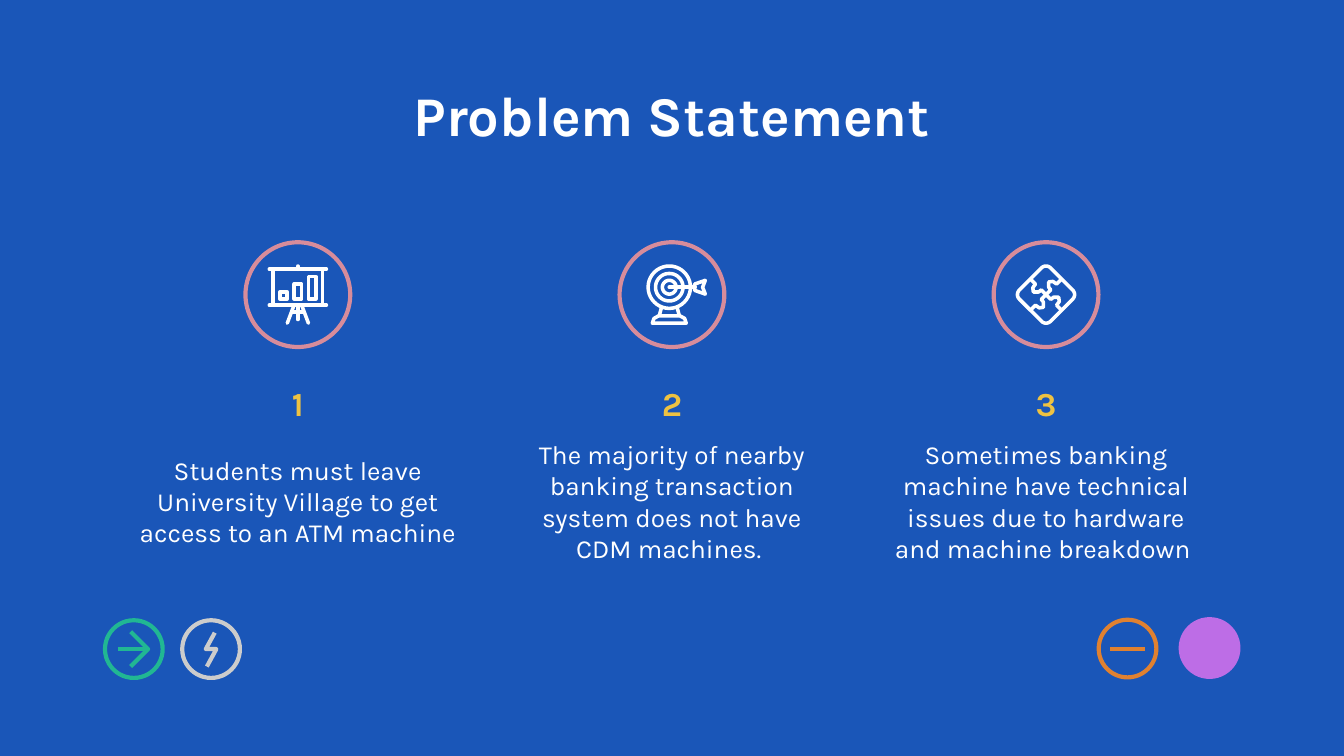
import math
from dataclasses import dataclass

import pptx
import pptx.dml.color
import pptx.enum.shapes
import pptx.enum.text
import pptx.oxml.ns
import pptx.oxml.xmlchemy
import pptx.shapes.base
import pptx.slide
import pptx.util

Cm = pptx.util.Cm
Pt = pptx.util.Pt
RGBColor = pptx.dml.color.RGBColor
Slide = pptx.slide.Slide
Shape = pptx.shapes.base.BaseShape
Point = tuple[float, float]
Line = list[Point]

BLUE = RGBColor(0x1A, 0x56, 0xB8)
WHITE = RGBColor(0xFF, 0xFF, 0xFF)
YELLOW = RGBColor(0xEE, 0xC2, 0x42)
PINK = RGBColor(0xD7, 0x8C, 0x9B)
PURPLE = RGBColor(0xBD, 0x6D, 0xE6)
ORANGE = RGBColor(0xE0, 0x81, 0x30)
GREY = RGBColor(0xCC, 0xCC, 0xCC)
GREEN = RGBColor(0x21, 0xB7, 0x93)

FONT = "Karla"
CENTRE_X = 12.7
COLUMN_STEP = 7.07
COLUMN_W = 6.05
ICON_Y = 5.57
ICON_PT = 1.9
BADGE_PT = 2.25
BADGE_D = 1.09


@dataclass
class Column:
    number: str
    text: str


@dataclass
class Badge:
    x: float
    y: float
    color: RGBColor
    filled: bool
    strokes: list[Line]


COLUMNS = [
    Column("1", "Students must leave University Village to get access to an ATM machine"),
    Column("2", "The majority of nearby banking transaction system does not have CDM machines. "),
    Column("3", "Sometimes banking machine have technical issues due to hardware and machine breakdown "),
]

BADGES = [
    Badge(22.86, 12.25, PURPLE, True, []),
    Badge(21.31, 12.26, ORANGE, False, [[(-0.33, 0), (0.33, 0)]]),
    Badge(3.99, 12.27, GREY, False, [[(0.07, -0.31), (-0.1, 0), (0.1, 0), (-0.08, 0.33)]]),
    Badge(2.53, 12.27, GREEN, False, [[(-0.06, -0.33), (0.27, 0), (-0.06, 0.33)],
                                      [(0.25, 0), (-0.29, 0)]]),
]


def set_line(sp: Shape, color: RGBColor, width: float) -> None:
    sp.line.color.rgb = color
    sp.line.width = Pt(width)


def add_circle(s: Slide, x: float, y: float, d: float, color: RGBColor) -> Shape:
    kind = pptx.enum.shapes.MSO_SHAPE.OVAL
    sp = s.shapes.add_shape(kind, Cm(x - d / 2), Cm(y - d / 2), Cm(d), Cm(d))
    sp.shadow.inherit = False
    sp.fill.background()
    set_line(sp, color, BADGE_PT)
    return sp


def add_freeform(s: Slide, x: float, y: float, lines: list[Line],
                 color: RGBColor, width: float) -> Shape:
    contours = [[(Cm(x + px), Cm(y + py)) for px, py in line] for line in lines]
    builder = s.shapes.build_freeform(*contours[0][0])
    for i, contour in enumerate(contours):
        if i:
            builder.move_to(*contour[0])
        builder.add_line_segments(contour[1:], close=False)
    sp = builder.convert_to_shape()
    sp.shadow.inherit = False
    sp.fill.background()
    set_line(sp, color, width)
    return sp


def add_connector(s: Slide, x: float, y: float, line: Line, color: RGBColor) -> None:
    (x1, y1), (x2, y2) = line
    kind = pptx.enum.shapes.MSO_CONNECTOR.STRAIGHT
    sp = s.shapes.add_connector(kind, Cm(x + x1), Cm(y + y1), Cm(x + x2), Cm(y + y2))
    sp._element.spPr.append(pptx.oxml.xmlchemy.OxmlElement("a:effectLst"))
    set_line(sp, color, BADGE_PT)


def add_icon_part(s: Slide, x: float, lines: list[Line]) -> None:
    sp = add_freeform(s, x, ICON_Y, lines, WHITE, ICON_PT)
    ln = sp._element.spPr.find(pptx.oxml.ns.qn("a:ln"))
    ln.set("cap", "rnd")
    ln.append(pptx.oxml.xmlchemy.OxmlElement("a:round"))


def arc(cx: float, cy: float, r: float, start: int, end: int) -> Line:
    angles = [math.radians(a) for a in range(start, end + 1, 9)]
    return [(cx + r * math.cos(a), cy + r * math.sin(a)) for a in angles]


def closed(line: Line) -> Line:
    return line + line[:1]


def box(left: float, top: float, right: float, bottom: float) -> Line:
    return closed([(left, top), (right, top), (right, bottom), (left, bottom)])


def add_board_icon(s: Slide, x: float) -> None:
    stand = [[(-0.54, y), (0.54, y)] for y in (-0.48, 0.2)]
    for side in (-1, 1):
        stand.append([(side * 0.47, -0.48), (side * 0.47, 0.2)])
        stand.append([(side * 0.08, 0.22), (side * 0.2, 0.54)])
    stand += [[(0, -0.54), (0, -0.48)], [(0, 0.2), (0, 0.47)], [(-0.1, 0.33), (0.1, 0.33)]]
    add_icon_part(s, x, stand)
    for bar_x, top in ((-0.27, -0.05), (0, -0.2), (0.27, -0.34)):
        add_icon_part(s, x, [box(bar_x - 0.07, top, bar_x + 0.07, 0.08)])


def add_target_icon(s: Slide, x: float) -> None:
    hub_x, hub_y = -0.05, -0.14
    lines = [arc(hub_x, hub_y, r, 0, 360) for r in (0.4, 0.26, 0.13)]
    lines.append([(hub_x, hub_y), (0.44, hub_y)])
    lines.append(closed([(0.43, -0.2), (0.63, -0.27), (0.58, -0.14),
                         (0.63, -0.01), (0.43, -0.08)]))
    for side in (-1, 1):
        lines.append([(hub_x + side * 0.15, 0.25), (hub_x + side * 0.19, 0.4)])
    half = [(-0.32, 0.54), (-0.29, 0.45), (-0.2, 0.4)]
    base = half + [(-px, py) for px, py in reversed(half)]
    lines.append(closed([(hub_x + px, py) for px, py in base]))
    add_icon_part(s, x, lines)


def add_puzzle_icon(s: Slide, x: float) -> None:
    diamond: Line = []
    lines: list[Line] = []
    seam = [(0.28, -0.28), (0.2, -0.2), (0.13, -0.25), (0.05, -0.24),
            (0.05, -0.14), (0.09, -0.09), (0, 0)]
    corner = (0.42, 0.0)
    for angle in range(0, 360, 90):
        diamond += arc(*corner, 0.12, angle - 45, angle + 45)
        lines.append(seam)
        seam = [(-py, px) for px, py in seam]
        corner = (-corner[1], corner[0])
    add_icon_part(s, x, [closed(diamond)] + lines)


def add_text(s: Slide, x: float, y: float, w: float, h: float, text: str,
             size: float, color: RGBColor, bold: bool = False) -> None:
    tf = s.shapes.add_textbox(Cm(x - w / 2), Cm(y), Cm(w), Cm(h)).text_frame
    tf.word_wrap = True
    tf.margin_left = tf.margin_right = tf.margin_top = tf.margin_bottom = 0
    tf.vertical_anchor = pptx.enum.text.MSO_ANCHOR.MIDDLE
    p = tf.paragraphs[0]
    p.alignment = pptx.enum.text.PP_ALIGN.CENTER
    r = p.add_run()
    r.text = text
    r.font.name = FONT
    r.font.size = Pt(size)
    r.font.bold = bold
    r.font.color.rgb = color


def add_badge(s: Slide, badge: Badge) -> None:
    sp = add_circle(s, badge.x, badge.y, BADGE_D, badge.color)
    if badge.filled:
        sp.fill.solid()
        sp.fill.fore_color.rgb = badge.color
    for line in badge.strokes:
        if len(line) == 2:
            add_connector(s, badge.x, badge.y, line, badge.color)
        else:
            add_freeform(s, badge.x, badge.y, [line], badge.color, BADGE_PT)


def main() -> None:
    prs = pptx.Presentation()
    prs.slide_width = Cm(25.4)
    prs.slide_height = Cm(14.29)
    s = prs.slides.add_slide(prs.slide_layouts[6])
    s.background.fill.solid()
    s.background.fill.fore_color.rgb = BLUE

    add_text(s, CENTRE_X, 1.5, 21.44, 1.32, "Problem Statement", 30, WHITE, True)
    icons = (add_board_icon, add_target_icon, add_puzzle_icon)
    for i, (column, add_icon) in enumerate(zip(COLUMNS, icons)):
        x = CENTRE_X + (i - 1) * COLUMN_STEP
        add_circle(s, x, ICON_Y, 1.98, PINK)
        add_icon(s, x)
        add_text(s, x, 7.05, COLUMN_W, 1.14, column.number, 18, YELLOW, True)
        add_text(s, x, 8.34, COLUMN_W, 2.26, column.text, 14, WHITE)
    for badge in BADGES:
        add_badge(s, badge)
    prs.save("out.pptx")


if __name__ == "__main__":
    main()
